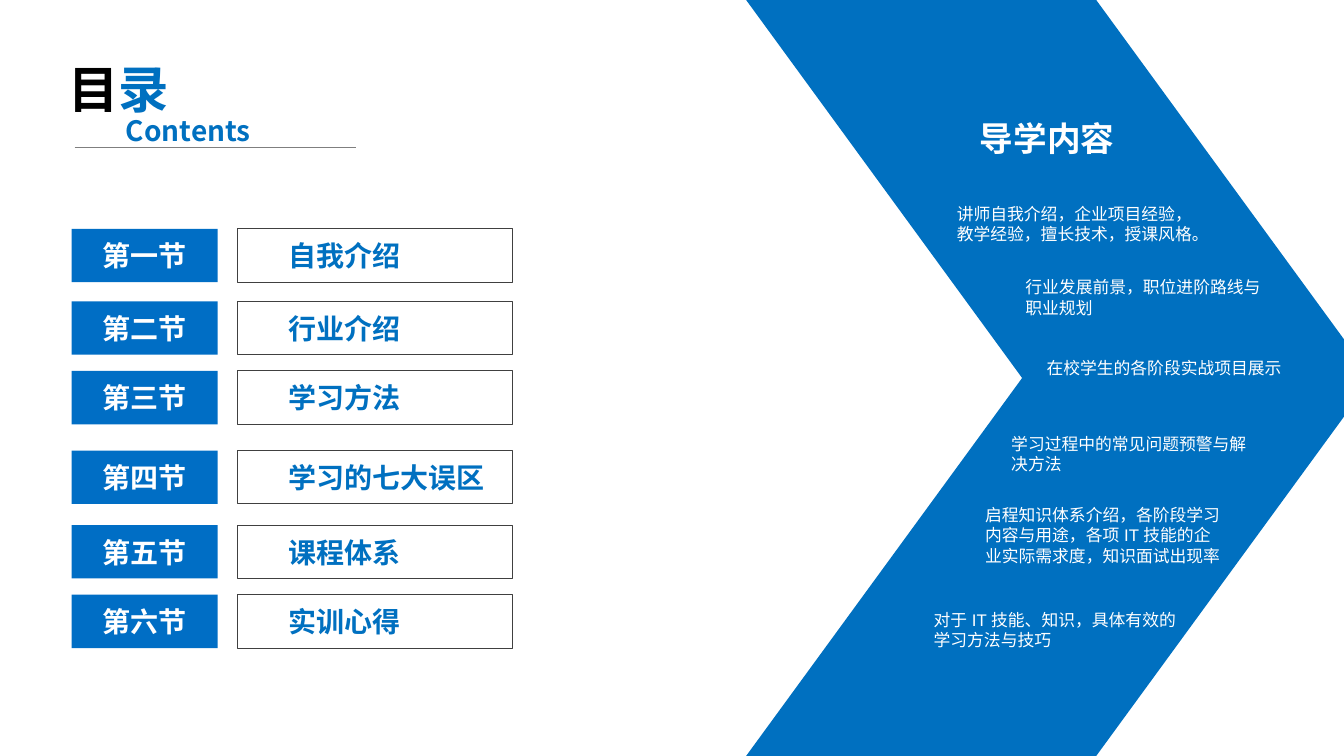
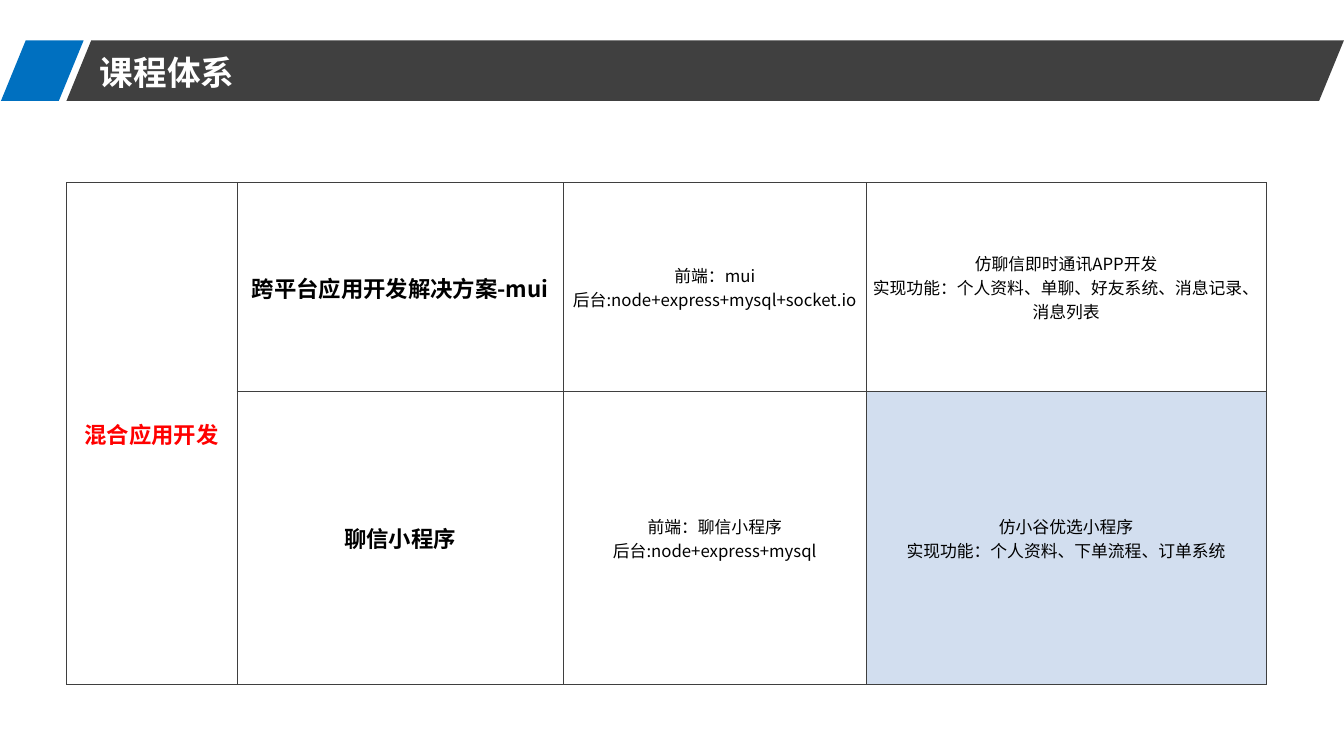
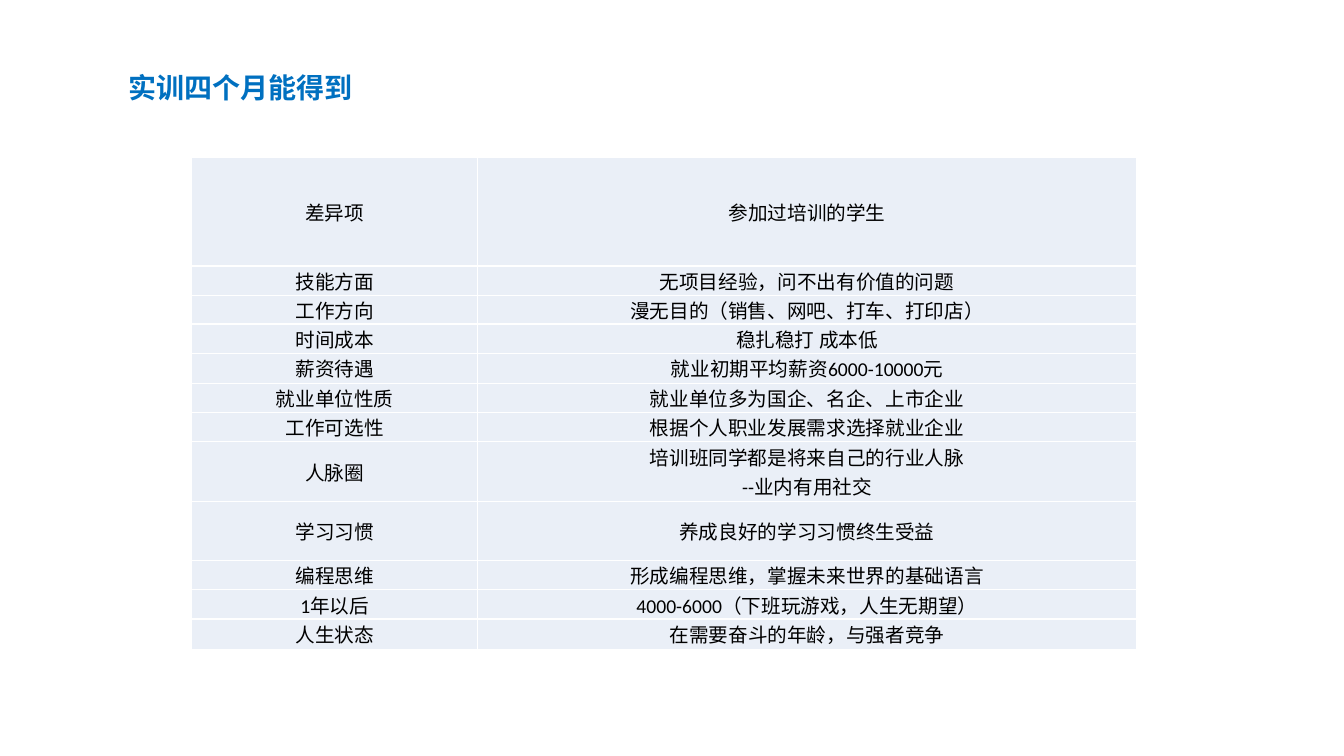
from dataclasses import dataclass, replace

from lxml import etree
from pptx import Presentation
from pptx.dml.color import RGBColor
from pptx.enum.shapes import MSO_CONNECTOR as CONN, MSO_SHAPE as SHAPE
from pptx.enum.text import MSO_ANCHOR as ANCHOR, PP_ALIGN as ALIGN
from pptx.oxml.ns import qn
from pptx.util import Inches, Pt


@dataclass(frozen=True)
class Style:
    size: int
    color: str
    bold: bool = False
    face: str = "Noto Sans CJK SC"
    east: str = "Noto Sans CJK SC"


class Theme:
    blue = "0070C0"
    label_blue = "006EC5"
    dark = "404040"
    rule = "7F7F7F"
    border = "3F3F3F"
    white = "FFFFFF"
    tint = "D2DEEF"
    pale = "EAEFF7"

    contents = Style(36, "000000", True)
    heading = Style(20, blue, True)
    label = Style(20, white, True)
    band = Style(24, white, True)
    note = Style(12, white, face="Arial", east="Arial")
    topic = Style(16, "FF0000", True)
    project = Style(16, "000000", True)
    detail = Style(12, "000000")
    grid = Style(14, "000000", face="Calibri")


SECTIONS = [
    (2.27, "第一节", "自我介绍"),
    (2.99, "第二节", "行业介绍"),
    (3.68, "第三节", "学习方法"),
    (4.47, "第四节", "学习的七大误区"),
    (5.21, "第五节", "课程体系"),
    (5.9, "第六节", "实训心得"),
]

NOTES = [
    (2.09, 2.02, 2.4, 0.4, "讲师自我介绍，企业项目经验，教学经验，擅长技术，授课风格。"),
    (2.77, 2.75, 2.41, 0.4, "行业发展前景，职位进阶路线与职业规划"),
    (2.98, 3.55, 2.4, 0.2, "在校学生的各阶段实战项目展示"),
    (2.63, 4.3, 2.4, 0.4, "学习过程中的常见问题预警与解决方法"),
    (2.37, 5.01, 2.4, 0.61, "启程知识体系介绍，各阶段学习内容与用途，各项 IT 技能的企业实际需求度，知识面试出现率"),
    (1.86, 6.05, 2.55, 0.4, "对于 IT 技能、知识，具体有效的学习方法与技巧"),
]

COURSES = [
    ["混合应用开发", "跨平台应用开发解决方案-mui",
     "前端：mui\n后台:node+express+mysql+socket.io",
     "仿聊信即时通讯APP开发\v实现功能：个人资料、单聊、好友系统、消息记录、消息列表"],
    ["", "聊信小程序", "前端：聊信小程序\n后台:node+express+mysql",
     "仿小谷优选小程序\n实现功能：个人资料、下单流程、订单系统"],
]

GAINS = [
    (1.08, "差异项", "参加过培训的学生"),
    (0.29, "技能方面", "无项目经验，问不出有价值的问题"),
    (0.25, "工作方向", "漫无目的（销售、网吧、打车、打印店）"),
    (0.29, "时间成本", "稳扎稳打 成本低"),
    (0.3, "薪资待遇", "就业初期平均薪资6000-10000元"),
    (0.29, "就业单位性质", "就业单位多为国企、名企、上市企业"),
    (0.29, "工作可选性", "根据个人职业发展需求选择就业企业"),
    (0.59, "人脉圈", "培训班同学都是将来自己的行业人脉\n--业内有用社交"),
    (0.59, "学习习惯", "养成良好的学习习惯终生受益"),
    (0.29, "编程思维", "形成编程思维，掌握未来世界的基础语言"),
    (0.29, "1年以后", "4000-6000（下班玩游戏，人生无期望）"),
    (0.3, "人生状态", "在需要奋斗的年龄，与强者竞争"),
]


def rgb(color):
    return RGBColor.from_string(color)


def format_run(r, style):
    r.font.size = Pt(style.size)
    r.font.bold = style.bold
    r.font.color.rgb = rgb(style.color)
    r.font.name = style.face
    etree.SubElement(r.font._element, qn("a:ea")).set("typeface", style.east)


def write(tf, text, style, align=ALIGN.LEFT):
    tf.text = text
    for p in tf.paragraphs:
        p.alignment = align
        for r in p.runs:
            format_run(r, style)


def set_margins(target, left, top, right, bottom):
    target.margin_left, target.margin_top = Inches(left), Inches(top)
    target.margin_right, target.margin_bottom = Inches(right), Inches(bottom)


def add_text(s, x, y, w, h, text, style, inset=True):
    tf = s.shapes.add_textbox(Inches(x), Inches(y), Inches(w), Inches(h)).text_frame
    tf.word_wrap = True
    if not inset:
        set_margins(tf, 0, 0, 0, 0)
    write(tf, text, style)


def add_block(s, kind, x, y, w, h, fill=None, line=None):
    sp = s.shapes.add_shape(kind, Inches(x), Inches(y), Inches(w), Inches(h))
    sp.shadow.inherit = False
    if fill:
        sp.fill.solid()
        sp.fill.fore_color.rgb = rgb(fill)
    else:
        sp.fill.background()
    if line:
        sp.line.color.rgb = rgb(line)
        sp.line.width = Pt(0.75)
    else:
        sp.line.fill.background()
    return sp


def add_slant(s, x, y, w, h, fill, slant):
    sp = add_block(s, SHAPE.PARALLELOGRAM, x, y, w, h, fill)
    sp.adjustments[0] = slant
    return sp


def place_title(s, x, y, w, h, text, style):
    title = s.shapes.title
    title.left, title.top = Inches(x), Inches(y)
    title.width, title.height = Inches(w), Inches(h)
    s.shapes._spTree.append(title._element)
    tf = title.text_frame
    tf.word_wrap = True
    tf.vertical_anchor = ANCHOR.TOP
    write(tf, text, style)
    return tf


def set_borders(cell, color, width):
    tcPr = cell._tc.get_or_add_tcPr()
    for side in ("lnL", "lnR", "lnT", "lnB"):
        ln = etree.SubElement(tcPr, qn(f"a:{side}"), w=str(Pt(width)))
        fill = etree.SubElement(ln, qn("a:solidFill"))
        etree.SubElement(fill, qn("a:srgbClr"), val=color)


def add_grid(s, x, y, cols, rows, texts, margins, border, width, look):
    table = s.shapes.add_table(len(rows), len(cols), Inches(x), Inches(y),
                               Inches(sum(cols)), Inches(sum(rows))).table
    table.first_row = table.horz_banding = False
    for col, w in zip(table.columns, cols):
        col.width = Inches(w)
    for i, (row, h) in enumerate(zip(table.rows, rows)):
        row.height = Inches(h)
        for j, cell in enumerate(row.cells):
            style, fill = look(i, j)
            set_margins(cell, *margins)
            cell.vertical_anchor = ANCHOR.MIDDLE
            set_borders(cell, border, width)
            cell.fill.solid()
            cell.fill.fore_color.rgb = rgb(fill)
            write(cell.text_frame, texts[i][j], style, ALIGN.CENTER)
    return table


def add_heading(s, x, y):
    tf = place_title(s, x, y, 1.57, 0.71, "目", Theme.contents)
    r = tf.paragraphs[0].add_run()
    r.text = "录"
    format_run(r, replace(Theme.contents, color=Theme.blue))
    add_text(s, x + 0.57, y + 0.55, 1.57, 0.44, "Contents", Theme.heading)
    rule = s.shapes.add_connector(CONN.STRAIGHT, Inches(x + 0.16), Inches(y + 0.93),
                                  Inches(x + 2.95), Inches(y + 0.93))
    rule.line.color.rgb = rgb(Theme.rule)
    rule.line.width = Pt(0.5)
    etree.SubElement(rule._element.spPr, qn("a:effectLst"))


def add_section(s, x, y, number, name):
    label = add_block(s, SHAPE.RECTANGLE, x, y, 1.45, 0.53, Theme.label_blue)
    box = add_block(s, SHAPE.RECTANGLE, x + 1.65, y, 2.72, 0.53, line=Theme.dark)
    box.text_frame.margin_left = Inches(0.5)
    write(label.text_frame, number, Theme.label, ALIGN.CENTER)
    write(box.text_frame, name, Theme.heading)
    for sp in (label, box):
        sp.text_frame.vertical_anchor = ANCHOR.MIDDLE


def add_arrow_panel(s, x, y, w, h):
    half = h / 2
    add_slant(s, x, y + half, w, half, Theme.blue, 0.73)
    upper = add_slant(s, x, y, w, half, Theme.blue, 0.73)
    upper._element.spPr.xfrm.set("flipV", "1")
    add_text(s, x + 2.22, y + 1.12, 1.76, 0.5, "导学内容", Theme.band)
    for dx, dy, note_w, note_h, text in NOTES:
        add_text(s, x + dx, y + dy, note_w, note_h, text, Theme.note, inset=False)


def add_title_band(s, y, text):
    add_slant(s, 0.66, y, 12.67, 0.6, Theme.dark, 0.41)
    add_slant(s, 0.01, y, 0.82, 0.6, Theme.blue, 0.41)
    place_title(s, 0.89, y + 0.06, 2.87, 0.5, text, Theme.band)


def contents_slide(s):
    add_arrow_panel(s, 7.4, 0, 6.21, 7.5)
    add_heading(s, 0.58, 0.53)
    for y, number, name in SECTIONS:
        add_section(s, 0.71, y, number, name)


def course_slide(s):
    def look(i, j):
        style = (Theme.topic, Theme.project, Theme.detail, Theme.detail)[j]
        return style, Theme.tint if (i, j) == (1, 3) else Theme.white

    add_title_band(s, 0.4, "课程体系")
    table = add_grid(s, 0.66, 1.81, [1.69, 3.24, 3, 3.97], [2.07, 2.91], COURSES,
                     (0.01, 0.01, 0.01, 0), Theme.border, 0.5, look)
    table.cell(0, 0).merge(table.cell(1, 0))


def gains_slide(s):
    place_title(s, 1.17, 0.65, 11, 0.44, "实训四个月能得到", Theme.heading)
    add_grid(s, 1.9, 1.56, [2.84, 6.53], [h for h, *_ in GAINS],
             [texts for _, *texts in GAINS], (0.07, 0, 0.07, 0), Theme.white, 1,
             lambda i, j: (Theme.grid, Theme.pale))


def main():
    prs = Presentation()
    prs.slide_width, prs.slide_height = Inches(13.33), Inches(7.5)
    title_only = prs.slide_layouts[5]
    for build in (contents_slide, course_slide, gains_slide):
        build(prs.slides.add_slide(title_only))
    prs.save("out.pptx")


if __name__ == "__main__":
    main()
